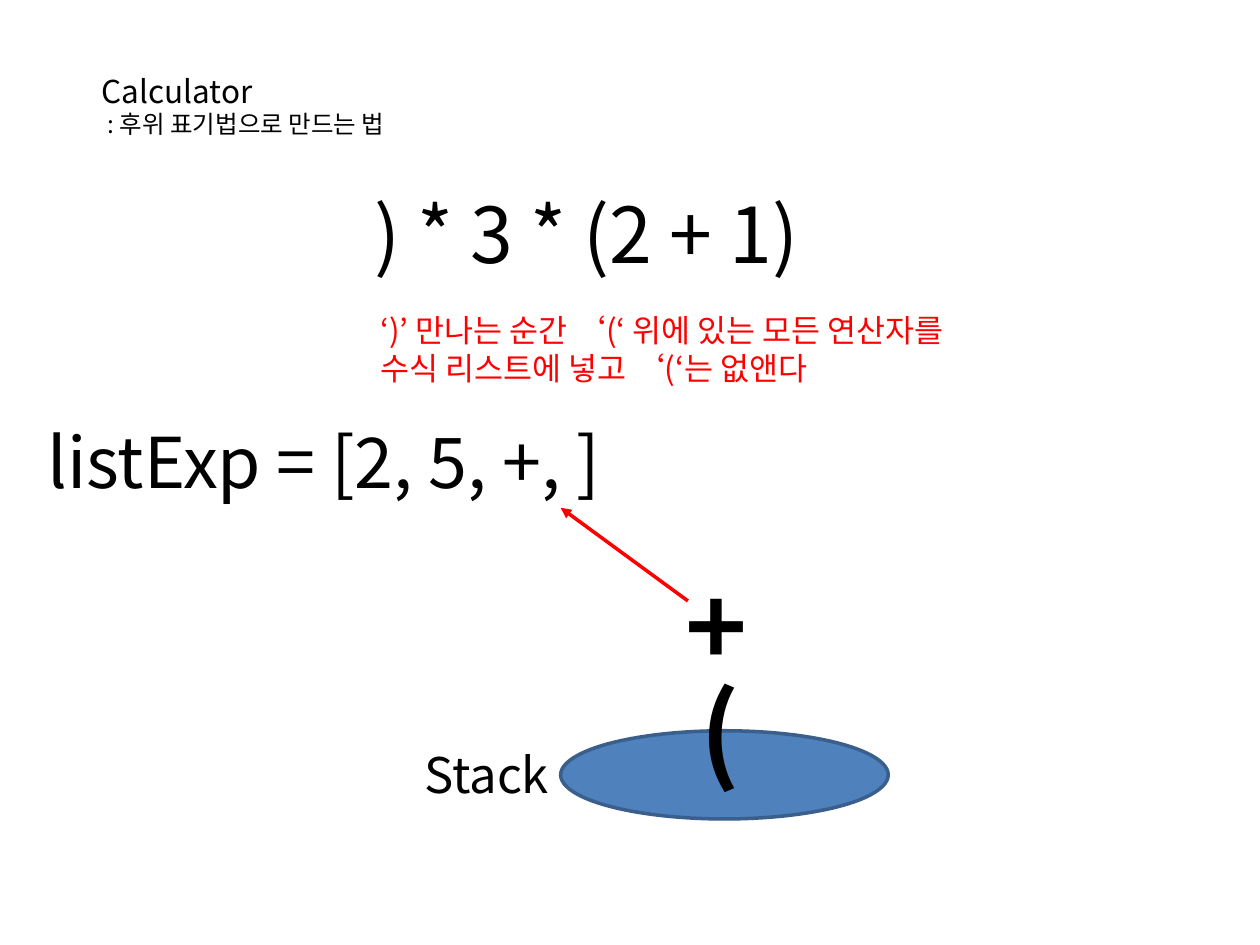
from dataclasses import dataclass

from pptx import Presentation
from pptx.dml.color import RGBColor
from pptx.enum.shapes import MSO_CONNECTOR, MSO_SHAPE
from pptx.enum.text import MSO_AUTO_SIZE
from pptx.oxml.ns import qn
from pptx.util import Inches, Pt
from lxml.etree import SubElement

FONT = "Noto Sans CJK KR"
COLORS = {
    "text": "000000",
    "accent": "FF0000",
    "stack_fill": "4F81BD",
    "stack_line": "3A5F8C",
}


@dataclass
class Line:
    text: str
    size: int


@dataclass
class Label:
    left: float
    top: float
    width: float
    height: float
    lines: list[Line]
    color: str = "text"
    bold: bool = False


HEADING = Label(0.71, 0.52, 2.75, 0.64, [
    Line("Calculator", 18), Line(" : 후위 표기법으로 만드는 법", 14)])
EXPRESSION = Label(2.87, 1.43, 4.29, 0.84, [Line(") * 3 * (2 + 1)", 44)])
OUTPUT_LIST = Label(0.28, 3.27, 4.91, 0.77, [Line("listExp = [2, 5, +, ]", 40)])
STACK_NAME = Label(3.27, 5.86, 1.26, 0.57, [Line("Stack", 28)])
STACK_ITEMS = [
    Label(5.46, 5.24, 0.5, 1.11, [Line("(", 60)], bold=True),
    Label(5.34, 4.41, 0.81, 1.11, [Line("+", 60)], bold=True),
]
EXPLANATION = Label(2.92, 2.42, 5.09, 0.71, [
    Line("‘)’ 만나는 순간 ‘(‘ 위에 있는 모든 연산자를", 18),
    Line("수식 리스트에 넣고 ‘(‘는 없앤다", 18)], color="accent")


def rgb(name: str) -> RGBColor:
    return RGBColor.from_string(COLORS[name])


def add_label(slide, label: Label) -> None:
    box = slide.shapes.add_textbox(
        Inches(label.left), Inches(label.top), Inches(label.width), Inches(label.height))
    text_frame = box.text_frame
    text_frame.text = "\n".join(line.text for line in label.lines)
    text_frame.word_wrap = False
    text_frame.auto_size = MSO_AUTO_SIZE.SHAPE_TO_FIT_TEXT
    for paragraph, line in zip(text_frame.paragraphs, label.lines):
        for run in paragraph.runs:
            run.font.size = Pt(line.size)
            run.font.bold = label.bold
            run.font.color.rgb = rgb(label.color)
            run.font.name = FONT
            # Korean text takes the East Asian font
            SubElement(run.font._element, qn("a:ea"), typeface=FONT)


def add_stack_base(slide) -> None:
    ellipse = slide.shapes.add_shape(
        MSO_SHAPE.OVAL, Inches(4.45), Inches(5.8), Inches(2.6), Inches(0.7))
    ellipse.shadow.inherit = False
    ellipse.fill.solid()
    ellipse.fill.fore_color.rgb = rgb("stack_fill")
    ellipse.line.color.rgb = rgb("stack_line")
    ellipse.line.width = Pt(2)


def add_pop_arrow(slide) -> None:
    arrow = slide.shapes.add_connector(
        MSO_CONNECTOR.STRAIGHT, Inches(5.46), Inches(4.77), Inches(4.45), Inches(4.03))
    arrow.line.color.rgb = rgb("accent")
    arrow.line.width = Pt(2)
    SubElement(arrow.line._get_or_add_ln(), qn("a:tailEnd"), type="triangle")
    SubElement(arrow._element.spPr, qn("a:effectLst"))


def main() -> None:
    presentation = Presentation()
    presentation.slide_width = Inches(10)
    presentation.slide_height = Inches(7.5)
    slide = presentation.slides.add_slide(presentation.slide_layouts[6])

    # Heading, remaining expression and output list
    for label in (HEADING, EXPRESSION, OUTPUT_LIST, STACK_NAME):
        add_label(slide, label)

    # Stack with its operators, the top one moving to the list
    add_stack_base(slide)
    add_pop_arrow(slide)
    for label in STACK_ITEMS:
        add_label(slide, label)

    # Rule applied in this step
    add_label(slide, EXPLANATION)

    presentation.save("out.pptx")


if __name__ == "__main__":
    main()
